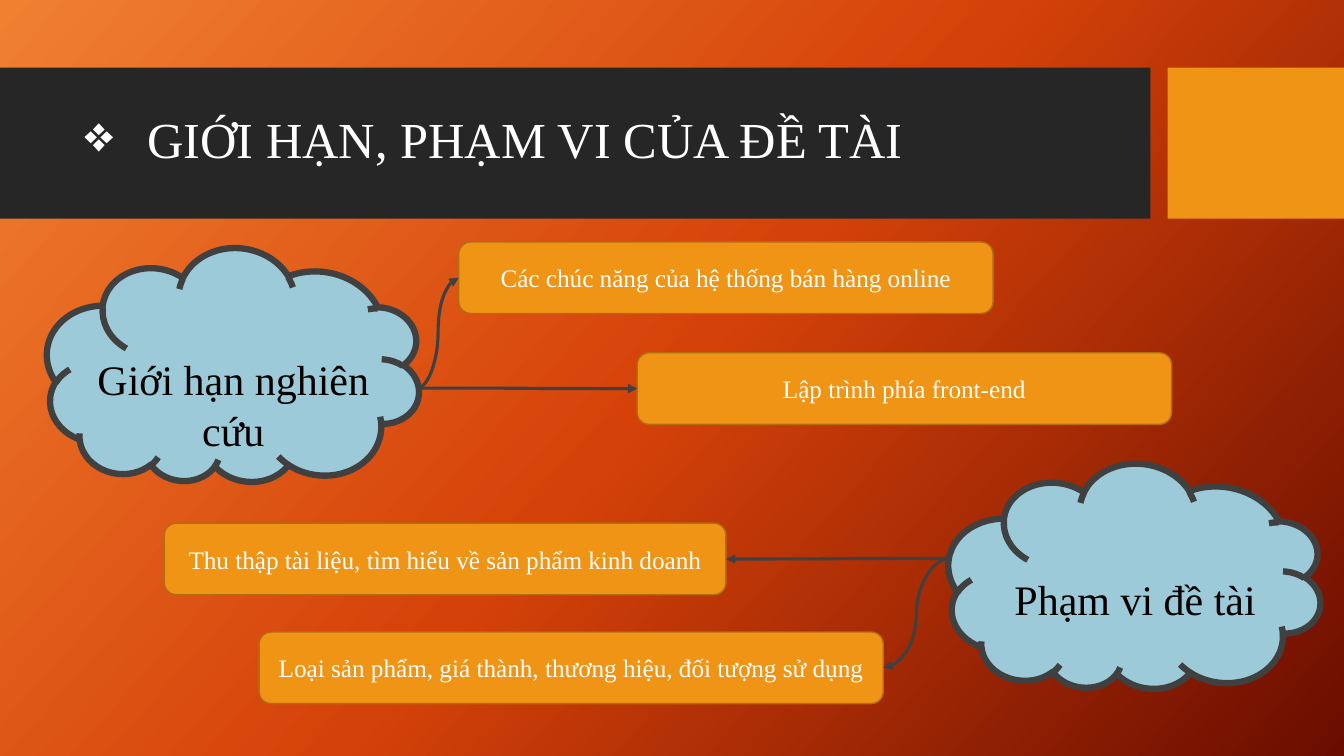
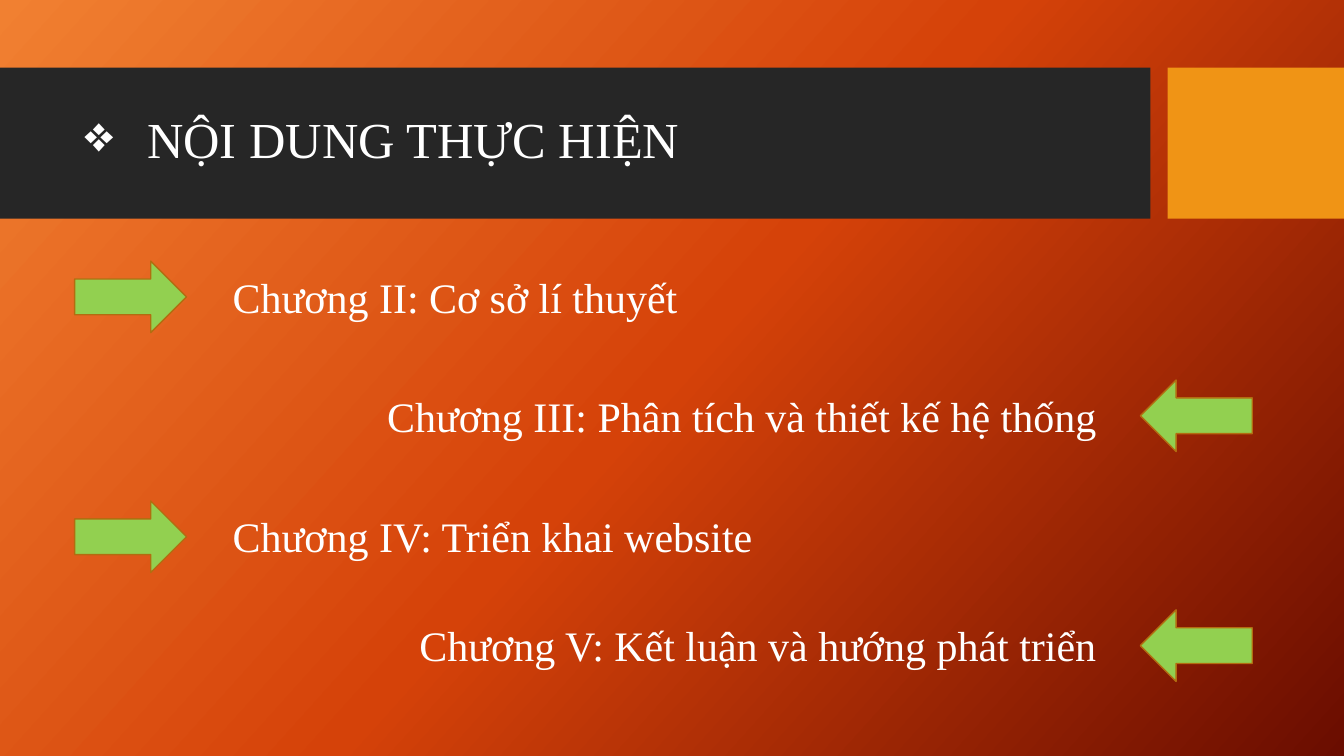
import lxml.etree
import pptx
import pptx.dml.color
import pptx.enum.shapes
import pptx.enum.text
import pptx.oxml.ns
import pptx.util

Inches = pptx.util.Inches
Shape = pptx.enum.shapes.MSO_SHAPE
Align = pptx.enum.text.PP_ALIGN
Anchor = pptx.enum.text.MSO_ANCHOR
qn = pptx.oxml.ns.qn

# Theme
THEME = {
    "font": "Times New Roman",
    "sizes": {"title": 36, "label": 30, "box": 18},
    "colours": {
        "white": "FFFFFF", "black": "000000", "band": "262626",
        "accent": "F09415", "border": "B26D10", "cloud": "9CCAD9",
        "outline": "404040", "arrow": "92D050",
    },
    "gradient": [(0, "F18031"), (50, "D54209"), (100, "6A0D00")],
    "gradient_angle": 42,
}

# Content: lengths in inches, boxes as (left, top, width, text)
SCOPE_TITLE = "GIỚI HẠN, PHẠM VI CỦA ĐỀ TÀI"
SCOPE_GROUPS = [
    {
        "cloud": (0.46, 2.47, 3.71, 2.36),
        "label": ("Giới hạn nghiên cứu", (0.53, 3.46, 3.57, 1.41)),
        "start": (4.14, 3.85),
        "boxes": [
            (4.55, 2.4, 5.3, "Các chúc năng của hệ thống bán hàng online"),
            (6.32, 3.5, 5.3, "Lập trình phía front-end"),
        ],
    },
    {
        "cloud": (9.4, 4.61, 3.71, 2.27),
        "label": ("Phạm vi đề tài", (9.76, 5.64, 3, 0.91)),
        "start": (9.42, 5.54),
        "boxes": [
            (1.63, 5.19, 5.57, "Thu thập tài liệu, tìm hiểu về sản phẩm kinh doanh"),
            (2.57, 6.27, 6.19, "Loại sản phẩm, giá thành, thương hiệu, đối tượng sử dụng"),
        ],
    },
]
CONTENTS_TITLE = "NỘI DUNG THỰC HIỆN"
CHAPTERS = [
    (2.59, "Chương II: Cơ sở lí thuyết"),
    (3.77, "Chương III: Phân tích và thiết kế hệ thống"),
    (4.97, "Chương IV: Triển khai website"),
    (6.05, "Chương V: Kết luận và hướng phát triển"),
]
# Chapters alternate between these two sides
CHAPTER_SIDES = [
    {"arrow": Shape.RIGHT_ARROW, "arrow_left": 0.74, "text_left": 2.21,
     "text_width": 8.23, "align": Align.LEFT},
    {"arrow": Shape.LEFT_ARROW, "arrow_left": 11.31, "text_left": 1.61,
     "text_width": 9.37, "align": Align.RIGHT},
]

BAND_TOP, BAND_HEIGHT = 0.67, 1.5
BANDS = [(0, 11.41, "band"), (11.58, 1.75, "accent")]
TITLE_FRAME = (0.74, 0.82, 10.51, 1.18)
TITLE_INDENT = 0.62
BOX_HEIGHT = 0.71
CLOUD_ROTATION = 186.4
ARROW_SIZE = (1.11, 0.71)
CHAPTER_TEXT_OFFSET, CHAPTER_TEXT_HEIGHT = 0.05, 0.61


# Helpers
def colour(name):
    return pptx.dml.color.RGBColor.from_string(THEME["colours"][name])


def apply_format(target, values):
    for name, value in values.items():
        setattr(target, name, value)


def set_line(line, name, width):
    line.color.rgb = colour(name)
    line.width = pptx.util.Pt(width)


def write_text(shape, text, size, text_colour, align, anchor):
    frame = shape.text_frame
    apply_format(frame, {"word_wrap": True, "vertical_anchor": anchor})
    paragraph = frame.paragraphs[0]
    paragraph.alignment = align
    run = paragraph.add_run()
    run.text = text
    apply_format(run.font, {
        "name": THEME["font"],
        "size": pptx.util.Pt(THEME["sizes"][size]),
    })
    run.font.color.rgb = colour(text_colour)
    return paragraph


def add_text(slide, frame, text, size="label", text_colour="white",
             align=Align.LEFT, anchor=Anchor.TOP):
    text_box = slide.shapes.add_textbox(*map(Inches, frame))
    return write_text(text_box, text, size, text_colour, align, anchor)


def add_shape(slide, kind, frame, fill, border=None, border_width=1):
    shape = slide.shapes.add_shape(kind, *map(Inches, frame))
    shape.shadow.inherit = False
    shape.fill.solid()
    shape.fill.fore_color.rgb = colour(fill)
    if border:
        set_line(shape.line, border, border_width)
    else:
        shape.line.fill.background()
    return shape


def add_curved_arrow(slide, start, end):
    connector = slide.shapes.add_connector(
        pptx.enum.shapes.MSO_CONNECTOR.CURVE, *map(Inches, start + end))
    set_line(connector.line, "outline", 2.25)
    properties = connector.element.spPr
    line = properties.find(qn("a:ln"))
    lxml.etree.SubElement(line, qn("a:tailEnd"), type="triangle")
    lxml.etree.SubElement(properties, qn("a:effectLst"))


# Shared by all slides
def set_background(master):
    fill = master.background.fill
    fill.gradient()
    gradient = master.element.find(".//" + qn("p:bgPr")).find(qn("a:gradFill"))
    stops = gradient.find(qn("a:gsLst"))
    for stop in list(stops):
        stops.remove(stop)
    for position, value in THEME["gradient"]:
        stop = lxml.etree.SubElement(stops, qn("a:gs"), pos=str(position * 1000))
        lxml.etree.SubElement(stop, qn("a:srgbClr"), val=value)
    # The public angle runs anticlockwise
    fill.gradient_angle = 360 - THEME["gradient_angle"]


def add_titled_slide(presentation, title):
    slide = presentation.slides.add_slide(presentation.slide_layouts[6])
    for left, width, fill in BANDS:
        add_shape(slide, Shape.RECTANGLE, (left, BAND_TOP, width, BAND_HEIGHT), fill)
    paragraph = add_text(slide, TITLE_FRAME, title, "title", anchor=Anchor.MIDDLE)
    paragraph.line_spacing = 0.9
    properties = paragraph._p.get_or_add_pPr()
    indent = Inches(TITLE_INDENT)
    properties.set("marL", str(indent))
    properties.set("indent", str(-indent))
    lxml.etree.SubElement(properties, qn("a:buChar"), char="❖")
    return slide


# Slides
def build_scope(presentation):
    slide = add_titled_slide(presentation, SCOPE_TITLE)
    for group in SCOPE_GROUPS:
        cloud = add_shape(slide, Shape.CLOUD, group["cloud"], "cloud", "outline", 4.5)
        cloud.rotation = CLOUD_ROTATION
        label, frame = group["label"]
        add_text(slide, frame, label, text_colour="black", align=Align.CENTER)
        start = group["start"]
        for left, top, width, text in group["boxes"]:
            box = add_shape(slide, Shape.ROUNDED_RECTANGLE,
                            (left, top, width, BOX_HEIGHT), "accent", "border")
            write_text(box, text, "box", "white", Align.CENTER, Anchor.MIDDLE)
            near_edge = left if left > start[0] else left + width
            add_curved_arrow(slide, start, (near_edge, top + BOX_HEIGHT / 2))


def build_contents(presentation):
    slide = add_titled_slide(presentation, CONTENTS_TITLE)
    for index, (top, text) in enumerate(CHAPTERS):
        side = CHAPTER_SIDES[index % 2]
        add_shape(slide, side["arrow"], (side["arrow_left"], top, *ARROW_SIZE),
                  "arrow", "border")
        frame = (side["text_left"], top + CHAPTER_TEXT_OFFSET,
                 side["text_width"], CHAPTER_TEXT_HEIGHT)
        add_text(slide, frame, text, align=side["align"])


def main():
    presentation = pptx.Presentation()
    apply_format(presentation, {
        "slide_width": Inches(13.33), "slide_height": Inches(7.5)})
    set_background(presentation.slide_master)
    build_scope(presentation)
    build_contents(presentation)
    presentation.save("out.pptx")


if __name__ == "__main__":
    main()
